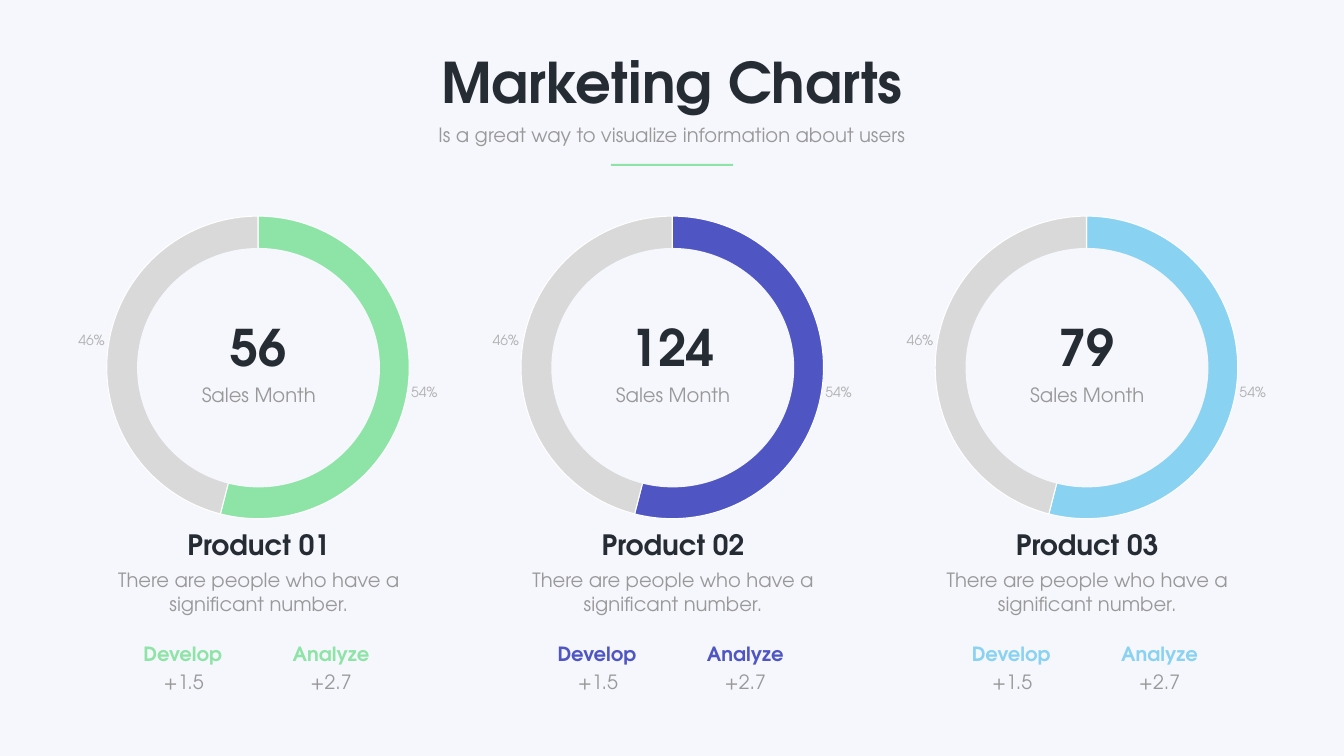
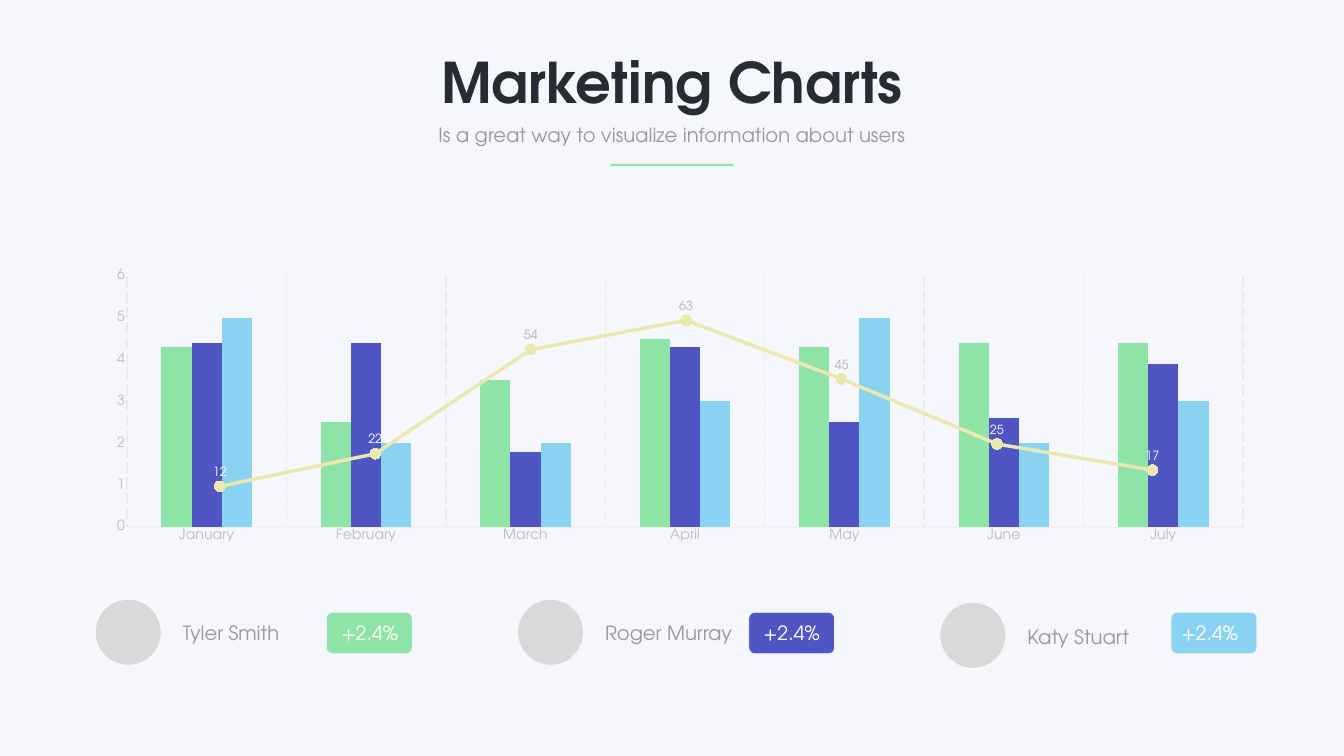
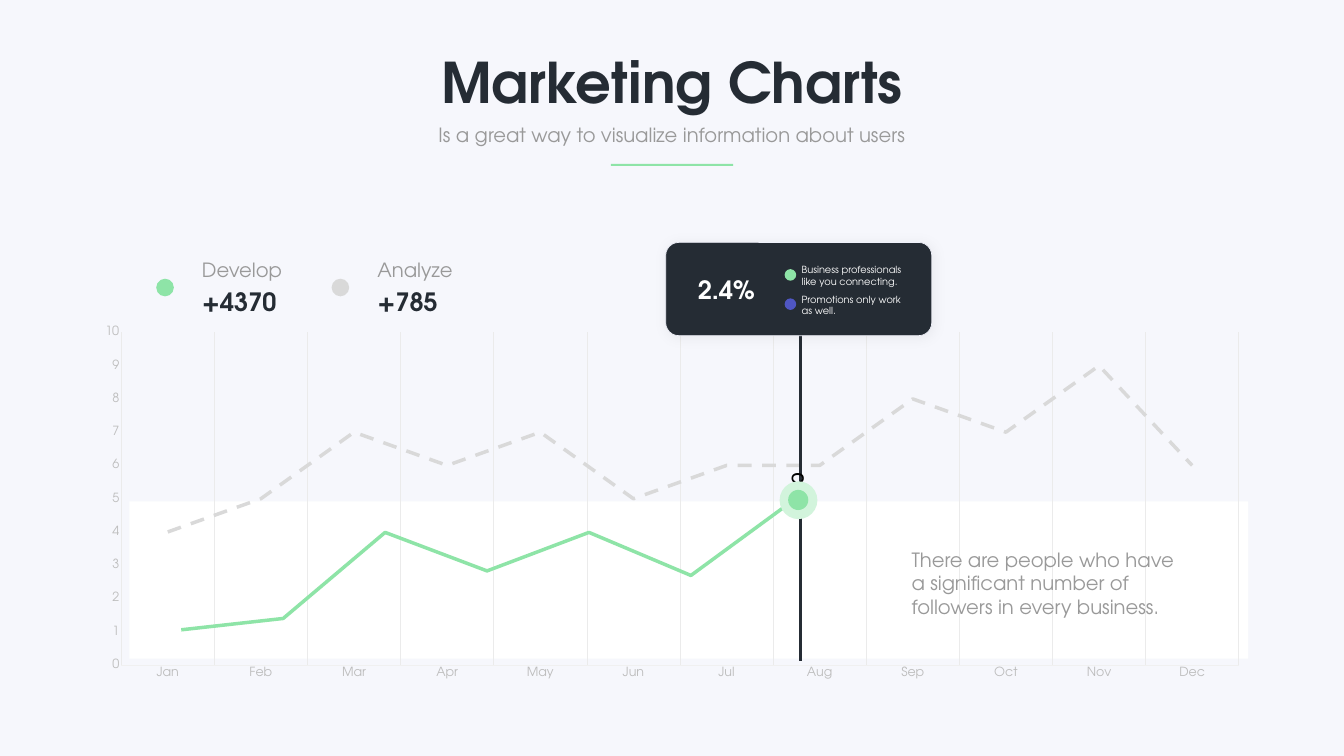
"""Build three slides of marketing charts."""
from dataclasses import dataclass, replace
from typing import Optional

from pptx import Presentation
from pptx.chart.axis import CategoryAxis, ValueAxis
from pptx.chart.chart import Chart
from pptx.chart.data import CategoryChartData
from pptx.chart.series import LineSeries
from pptx.dml.color import RGBColor
from pptx.dml.fill import FillFormat
from pptx.dml.line import LineFormat
from pptx.enum.chart import (XL_CHART_TYPE, XL_LABEL_POSITION, XL_MARKER_STYLE,
                             XL_TICK_MARK)
from pptx.enum.dml import MSO_LINE
from pptx.enum.shapes import MSO_CONNECTOR, MSO_SHAPE
from pptx.enum.text import MSO_ANCHOR, MSO_AUTO_SIZE, PP_ALIGN
from pptx.oxml import parse_xml
from pptx.oxml.ns import nsdecls, qn
from pptx.shapes.autoshape import Shape
from pptx.slide import Slide
from pptx.text.text import Font
from pptx.util import Inches, Pt

LEFT, CENTER = PP_ALIGN.LEFT, PP_ALIGN.CENTER
TOP, MIDDLE = MSO_ANCHOR.TOP, MSO_ANCHOR.MIDDLE
OVAL, RECT, ROUNDED = MSO_SHAPE.OVAL, MSO_SHAPE.RECTANGLE, MSO_SHAPE.ROUNDED_RECTANGLE
PIE, COLUMNS = XL_CHART_TYPE.PIE, XL_CHART_TYPE.COLUMN_CLUSTERED
LINE, LINE_MARKERS = XL_CHART_TYPE.LINE, XL_CHART_TYPE.LINE_MARKERS
NO_TICK = XL_TICK_MARK.NONE
ABOVE, OUTSIDE = XL_LABEL_POSITION.ABOVE, XL_LABEL_POSITION.OUTSIDE_END
CIRCLE = XL_MARKER_STYLE.CIRCLE
DASH, LONG_DASH = MSO_LINE.DASH, MSO_LINE.LONG_DASH


@dataclass(frozen=True)
class Theme:
    """Colours, fonts and type sizes of the deck."""
    font: str = "TeX Gyre Adventor"
    pin_font: str = "Roboto"
    page: str = "F6F7FC"
    ink: str = "252C34"
    black: str = "000000"
    white: str = "FFFFFF"
    body: str = "999999"
    label: str = "B2B2B2"
    tick: str = "BDBDBD"
    axis: str = "F0F0F0"
    grid: str = "EBEBEB"
    edge: str = "F0F1FA"
    rest: str = "D9D9D9"
    green: str = "8EE4A7"
    pale_green: str = "D2F4DC"
    indigo: str = "4F56C3"
    sky: str = "8AD2F1"
    sand: str = "ECE7AE"
    title_size: int = 80
    number_size: int = 72
    heading_size: int = 40
    figure_size: int = 36
    pin_size: int = 32
    text_size: int = 28
    label_size: int = 20
    small_label_size: int = 18
    note_size: int = 14


THEME = Theme()
ACCENTS = (THEME.green, THEME.indigo, THEME.sky)


@dataclass(frozen=True)
class Box:
    """A place on the slide, in inches."""
    left: float
    top: float
    width: float
    height: float

    def moved(self, right: float = 0, down: float = 0) -> "Box":
        """Return the box shifted by the given distances."""
        return replace(self, left=self.left + right, top=self.top + down)

    def lengths(self) -> tuple:
        """Return left, top, width and height as lengths."""
        return tuple(Inches(n) for n in (self.left, self.top, self.width, self.height))


@dataclass(frozen=True)
class Style:
    """The look of one text."""
    size: int = THEME.text_size
    color: str = THEME.body
    bold: bool = False
    align: PP_ALIGN = LEFT
    anchor: MSO_ANCHOR = TOP
    inset: Optional[float] = None
    spacing: Optional[float] = None
    font: str = THEME.font


BODY = Style()
BODY_CENTER = Style(align=CENTER)
TITLE = Style(THEME.title_size, THEME.ink, True, CENTER)
CAPTION = Style(align=CENTER, anchor=MIDDLE, inset=0.06)
NUMBER = replace(CAPTION, size=THEME.number_size, color=THEME.ink, bold=True)
HEADING = replace(NUMBER, size=THEME.heading_size)
METRIC = Style(align=CENTER, spacing=40.8)
FIGURE = Style(THEME.figure_size, THEME.ink, True)
NOTE = Style(THEME.note_size, THEME.white)
PIN = replace(CAPTION, size=THEME.pin_size, color=THEME.black, font=THEME.pin_font)


@dataclass(frozen=True)
class Product:
    """One ring with its figure."""
    name: str
    sales: str
    color: str


@dataclass(frozen=True)
class Member:
    """One person with a growth badge."""
    name: str
    color: str
    growth_left: float
    drop: float = 0


@dataclass(frozen=True)
class Total:
    """One legend entry with its total."""
    name: str
    value: str
    color: str


PRODUCTS = tuple(Product(f"Product {number:02}", sales, color) for number, (sales, color)
                 in enumerate(zip(("56", "124", "79"), ACCENTS), 1))
MEMBERS = (Member("Tyler Smith", THEME.green, 6.68),
           Member("Roger Murray", THEME.indigo, 15.05),
           Member("Katy Stuart", THEME.sky, 23.35, 0.06))
TOTALS = (Total("Develop", "+4370", THEME.green), Total("Analyze", "+785", THEME.rest))
NOTES = (("Business professionals like you connecting.", THEME.green),
         ("Promotions only work as well.", THEME.indigo))
MONTHS = ("January", "February", "March", "April", "May", "June", "July")
SHORT_MONTHS = ("Jan", "Feb", "Mar", "Apr", "May", "Jun",
                "Jul", "Aug", "Sep", "Oct", "Nov", "Dec")
MONTHLY_BARS = ((4.3, 2.5, 3.5, 4.5, 4.3, 4.4, 4.4),
                (4.4, 4.4, 1.8, 4.3, 2.5, 2.6, 3.9),
                (5, 2, 2, 3, 5, 2, 3))
TREND = (12, 22, 54, 63, 45, 25, 17)
TREND_OVER_BARS = (0, 1, 5, 6)
ANALYZE = (4, 5, 7, 6, 7, 5, 6, 6, 8, 7, 9, 6)
DEVELOP = (43, 48, 86, 69, 86, 67, 100)
WEEKS = tuple("1234567")


def rgb(color: str) -> RGBColor:
    """Return a colour from its hex code."""
    return RGBColor.from_string(color)


def paint(fill: FillFormat, color: str) -> None:
    """Give a fill one solid colour."""
    fill.solid()
    fill.fore_color.rgb = rgb(color)


def stroke(line: LineFormat, color: str, width: float,
           dash: Optional[MSO_LINE] = None) -> None:
    """Set colour, width and dash of a line."""
    paint(line.fill, color)
    line.width = Pt(width)
    if dash is not None:
        line.dash_style = dash


def set_font(font: Font, size: int, color: str, bold: bool = False,
             name: str = THEME.font) -> None:
    """Set every font property used in the deck."""
    font.name, font.size, font.bold = name, Pt(size), bold
    font.color.rgb = rgb(color)


def add_text(slide: Slide, box: Box, text: str, style: Style = BODY) -> Shape:
    """Add a wrapping text box holding one run."""
    holder = slide.shapes.add_textbox(*box.lengths())
    frame = holder.text_frame
    frame.word_wrap = True
    frame.auto_size = MSO_AUTO_SIZE.SHAPE_TO_FIT_TEXT
    frame.vertical_anchor = style.anchor
    if style.inset is not None:
        frame.margin_left = frame.margin_right = Inches(style.inset)
        frame.margin_top = frame.margin_bottom = Inches(style.inset)
    paragraph = frame.paragraphs[0]
    paragraph.alignment = style.align
    if style.spacing is not None:
        paragraph.line_spacing = Pt(style.spacing)
    run = paragraph.add_run()
    run.text = text
    set_font(run.font, style.size, style.color, style.bold, style.font)
    return holder


def add_figure(slide: Slide, kind: MSO_SHAPE, box: Box, color: str,
               edge: Optional[str] = None, rounding: Optional[float] = None) -> Shape:
    """Add a flat filled shape."""
    figure = slide.shapes.add_shape(kind, *box.lengths())
    figure.shadow.inherit = False
    paint(figure.fill, color)
    if edge is None:
        figure.line.fill.background()
    else:
        stroke(figure.line, edge, 1)
    if rounding is not None:
        figure.adjustments[0] = rounding
    return figure


def add_chart(slide: Slide, kind: XL_CHART_TYPE, box: Box, categories: tuple,
              *rows: tuple, size: int = THEME.small_label_size) -> Chart:
    """Add a transparent chart without title or legend."""
    data = CategoryChartData()
    data.categories = categories
    for number, values in enumerate(rows, 1):
        data.add_series(f"Series {number}", values)
    chart = slide.shapes.add_chart(kind, *box.lengths(), data).chart
    chart.has_title = chart.has_legend = False
    chart.plots[0].vary_by_categories = False
    chart.element.find(qn("c:chart")).addnext(parse_xml(
        f'<c:spPr {nsdecls("c", "a")}><a:noFill/><a:ln><a:noFill/></a:ln></c:spPr>'))
    set_font(chart.font, size, THEME.body)
    return chart


def scale(axis: ValueAxis, maximum: float) -> None:
    """Run a value axis from zero without gridlines."""
    axis.minimum_scale, axis.maximum_scale = 0, maximum
    axis.has_major_gridlines = False


def show_axes(chart: Chart, maximum: float, size: int, grid_width: float,
              dash: Optional[MSO_LINE] = None) -> None:
    """Style visible axes with vertical gridlines."""
    months: CategoryAxis = chart.category_axis
    amounts: ValueAxis = chart.value_axis
    scale(amounts, maximum)
    amounts.major_unit = 1
    for axis in (months, amounts):
        axis.major_tick_mark = axis.minor_tick_mark = NO_TICK
        set_font(axis.tick_labels.font, size, THEME.tick)
    amounts.format.line.fill.background()
    stroke(months.format.line, THEME.axis, 0.75)
    months.has_major_gridlines = True
    stroke(months.major_gridlines.format.line, THEME.grid, grid_width, dash)


def hide_axes(chart: Chart, maximum: float) -> None:
    """Hide both axes and fix the scale."""
    scale(chart.value_axis, maximum)
    chart.category_axis.visible = chart.value_axis.visible = False


def style_line(chart: Chart, color: str, dash: Optional[MSO_LINE] = None) -> LineSeries:
    """Draw the only series as a straight thick line."""
    series = chart.plots[0].series[0]
    series.smooth = False
    stroke(series.format.line, color, 5, dash)
    return series


def place_plot(chart: Chart, left: float, top: float, width: float, height: float) -> None:
    """Fix the inner plot area in fractions of the chart."""
    area = chart.element.find(qn("c:chart")).find(qn("c:plotArea"))
    for layout in area.findall(qn("c:layout")):
        area.remove(layout)
    places = "".join(f'<c:{tag} val="{share}"/>' for tag, share
                     in zip("xywh", (left, top, width, height)))
    area.insert(0, parse_xml(
        f'<c:layout {nsdecls("c")}><c:manualLayout><c:layoutTarget val="inner"/>'
        f'<c:xMode val="edge"/><c:yMode val="edge"/>{places}</c:manualLayout></c:layout>'))


def add_header(slide: Slide) -> None:
    """Add the title, subtitle and accent rule."""
    add_text(slide, Box(6.88, 0.9, 12.91, 1.45), "Marketing Charts", TITLE)
    add_text(slide, Box(8.55, 2.38, 9.56, 0.57),
             "Is a great way to visualize information about users", BODY_CENTER)
    add_figure(slide, RECT, Box(12.12, 3.25, 2.43, 0.04), THEME.green)


def add_product(slide: Slide, product: Product, shift: float) -> None:
    """Add one ring chart with its captions."""
    chart = add_chart(slide, PIE, Box(0.62, 4.15, 9, 6.28).moved(shift), ("1", "2"), (54, 46))
    series = chart.plots[0].series[0]
    for index, color in enumerate((product.color, THEME.rest)):
        share = series.points[index].format
        paint(share.fill, color)
        stroke(share.line, THEME.white, 1.5)
    labels = series.data_labels
    labels.show_percentage, labels.show_value = True, False
    labels.number_format, labels.number_format_is_linked = "0%", False
    labels.position = OUTSIDE
    set_font(labels.font, THEME.label_size, THEME.label)
    add_figure(slide, OVAL, Box(2.72, 4.92, 4.82, 4.75).moved(shift), THEME.page)
    metric_name = replace(METRIC, color=product.color, bold=True)
    for box, text, style in (
            (Box(3.34, 7.54, 3.59, 0.58), "Sales Month", CAPTION),
            (Box(3.66, 6.22, 2.94, 1.32), product.sales, NUMBER),
            (Box(1.96, 11.22, 6.35, 1.04),
             "There are people who have a significant number.", BODY_CENTER),
            (Box(1.68, 10.4, 6.91, 0.79), product.name, HEADING),
            (Box(2.29, 13.15, 2.71, 0.62), "+1.5", METRIC),
            (Box(2.25, 12.59, 2.75, 0.63), "Develop", metric_name),
            (Box(5.55, 13.15, 2.04, 0.62), "+2.7", METRIC),
            (Box(5.14, 12.59, 2.86, 0.63), "Analyze", metric_name)):
        add_text(slide, box.moved(shift), text, style)


def build_products(slide: Slide) -> None:
    """Fill the slide of product rings."""
    for column, product in enumerate(PRODUCTS):
        add_product(slide, product, column * 8.22)


def add_member(slide: Slide, member: Member, shift: float) -> None:
    """Add one portrait disc, name and growth badge."""
    add_figure(slide, ROUNDED, Box(6.48, 12.15, 1.7, 0.82).moved(shift),
               member.color, THEME.edge, 0.14)
    add_figure(slide, OVAL, Box(1.9, 11.9, 1.29, 1.29).moved(shift, member.drop), THEME.rest)
    add_text(slide, Box(member.growth_left, 12.28, 1.52, 0.57), "+2.4%",
             replace(BODY, color=THEME.white))
    add_text(slide, Box(3.53, 12.28, 2.89, 0.57).moved(shift, member.drop), member.name)


def build_team(slide: Slide) -> None:
    """Fill the slide of monthly bars, trend and team."""
    bars = add_chart(slide, COLUMNS, Box(1.37, 4.32, 23.92, 6.82), MONTHS, *MONTHLY_BARS,
                     size=THEME.label_size)
    show_axes(bars, 6, THEME.label_size, 2, LONG_DASH)
    place_plot(bars, 0.048, 0.169, 0.926, 0.731)
    bars.plots[0].gap_width, bars.plots[0].overlap = 229, 0
    for series, color in zip(bars.plots[0].series, ACCENTS):
        paint(series.format.fill, color)

    trend = add_chart(slide, LINE_MARKERS, Box(2.37, 5.81, 22.49, 4.71), WEEKS, TREND)
    hide_axes(trend, 70)
    series = style_line(trend, THEME.sand)
    series.marker.style, series.marker.size = CIRCLE, 15
    paint(series.marker.format.fill, THEME.sand)
    stroke(series.marker.format.line, THEME.sand, 0.75)
    labels = series.data_labels
    labels.show_value, labels.position = True, ABOVE
    set_font(labels.font, THEME.small_label_size, THEME.label)
    for index in TREND_OVER_BARS:
        label = series.points[index].data_label
        set_font(label.font, THEME.small_label_size, THEME.white)
        label.position = ABOVE

    for column, member in enumerate(MEMBERS):
        add_member(slide, member, column * 8.38)


def add_tooltip(slide: Slide) -> None:
    """Add the dark card with its figure and notes."""
    card = add_figure(slide, ROUNDED, Box(13.21, 4.81, 5.28, 1.85), THEME.ink, THEME.edge, 0.14)
    effects = card.element.spPr.find(qn("a:effectLst"))
    effects.append(parse_xml(
        f'<a:outerShdw {nsdecls("a")} blurRad="{Pt(20)}" dist="{Pt(3)}" dir="2700000">'
        f'<a:srgbClr val="{THEME.black}"><a:alpha val="5000"/></a:srgbClr></a:outerShdw>'))
    add_text(slide, Box(13.75, 5.4, 1.61, 0.71), "2.4%", replace(FIGURE, color=THEME.white))
    for row, (note, color) in enumerate(NOTES):
        add_figure(slide, OVAL, Box(15.57, 5.34 + row * 0.58, 0.23, 0.23), color)
        add_text(slide, Box(15.81, 5.18 + row * 0.59, 2.31, 0.57), note, NOTE)


def build_growth(slide: Slide) -> None:
    """Fill the slide of yearly growth."""
    add_figure(slide, RECT, Box(2.57, 9.95, 22.2, 3.12), THEME.white)
    analyze = add_chart(slide, LINE, Box(1.62, 6.33, 23.43, 7.29), SHORT_MONTHS, ANALYZE)
    show_axes(analyze, 10, THEME.small_label_size, 0.75)
    style_line(analyze, THEME.rest, DASH)

    pin = slide.shapes.add_connector(MSO_CONNECTOR.STRAIGHT, Inches(15.89), Inches(6.33),
                                     Inches(15.89), Inches(13.11))
    stroke(pin.line, THEME.ink, 5)
    pin.element.spPr.append(parse_xml(f'<a:effectLst {nsdecls("a")}/>'))
    add_text(slide, Box(15.39, 9.4, 1, 0.64), "ccc", PIN).rotation = 90

    develop = add_chart(slide, LINE, Box(2.29, 9.52, 14.75, 5.01), WEEKS, DEVELOP,
                        size=THEME.label_size)
    hide_axes(develop, 107)
    style_line(develop, THEME.green)
    add_figure(slide, OVAL, Box(15.47, 9.55, 0.75, 0.75), THEME.pale_green)
    add_figure(slide, OVAL, Box(15.64, 9.72, 0.4, 0.4), THEME.green)

    for column, total in enumerate(TOTALS):
        shift = column * 3.48
        add_figure(slide, OVAL, Box(3.1, 5.53, 0.35, 0.35).moved(shift), total.color)
        add_text(slide, Box(3.91, 5.06, 3.51, 0.57).moved(shift), total.name)
        add_text(slide, Box(3.91, 5.64, 3.51, 0.71).moved(shift), total.value, FIGURE)
    add_text(slide, Box(17.99, 10.82, 5.62, 1.51),
             "There are people who have a significant number of followers in every business.")
    add_tooltip(slide)


def main() -> None:
    """Build and save the deck."""
    deck = Presentation()
    deck.slide_width, deck.slide_height = Inches(26.67), Inches(15)
    paint(deck.slide_master.background.fill, THEME.page)
    blank = deck.slide_layouts[6]
    for build in (build_products, build_team, build_growth):
        slide = deck.slides.add_slide(blank)
        add_header(slide)
        build(slide)
    deck.save("out.pptx")


if __name__ == "__main__":
    main()
